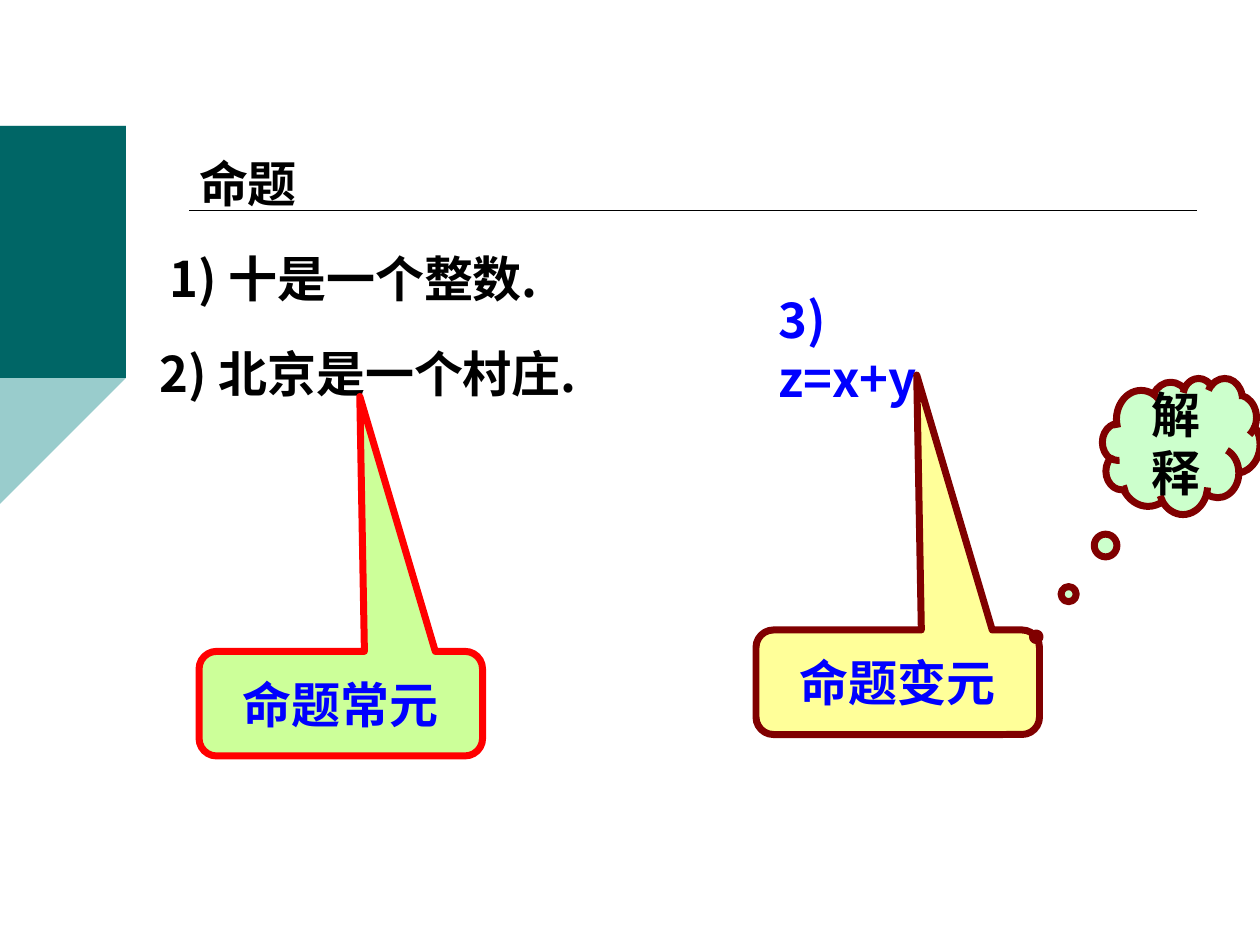
from lxml import etree
from pptx import Presentation
from pptx.dml.color import RGBColor
from pptx.enum.shapes import MSO_CONNECTOR, MSO_SHAPE
from pptx.enum.text import MSO_ANCHOR, MSO_AUTO_SIZE, PP_ALIGN
from pptx.oxml.ns import qn
from pptx.util import Inches, Pt

LEFT, CENTER = PP_ALIGN.LEFT, PP_ALIGN.CENTER
TOP, MIDDLE = MSO_ANCHOR.TOP, MSO_ANCHOR.MIDDLE
NO_FIT = MSO_AUTO_SIZE.NONE
STRAIGHT = MSO_CONNECTOR.STRAIGHT
SPEECH = MSO_SHAPE.ROUNDED_RECTANGULAR_CALLOUT
CLOUD = MSO_SHAPE.CLOUD_CALLOUT
FONT = "Noto Sans CJK SC"
COLORS = {
    "black": "000000", "blue": "0000FF", "red": "FF0000", "maroon": "800000",
    "teal": "006666", "pale teal": "99CCCC", "lime": "CCFF99",
    "yellow": "FFFF99", "mint": "CCFFCC",
}
SPEECH_POINTER = (0.067, -2.938, 0.167)


def color(name):
    return RGBColor.from_string(COLORS[name])


def write_text(shape, text, ink="black", align=LEFT, anchor=TOP, size=28):
    frame = shape.text_frame
    frame.word_wrap = True
    frame.auto_size = NO_FIT
    frame.vertical_anchor = anchor
    para = frame.paragraphs[0]
    para.alignment = align
    span = para.add_run()
    span.text = text
    span.font.name = FONT
    span.font.size = Pt(size)
    span.font.bold = True
    span.font.color.rgb = color(ink)
    # East Asian characters take their own typeface element
    east_asian = etree.SubElement(span.font._element, qn("a:ea"))
    east_asian.set("typeface", FONT)


def place(shape, left, top, width, height):
    shape.left, shape.top = Inches(left), Inches(top)
    shape.width, shape.height = Inches(width), Inches(height)


def add_label(page, text, left, top, width, ink="black"):
    box = page.shapes.add_textbox(
        Inches(left), Inches(top), Inches(width), Inches(0.57))
    write_text(box, text, ink=ink)


def add_callout(page, kind, text, area, pointer, fill, line, ink):
    callout = page.shapes.add_shape(kind, *map(Inches, area))
    for index, value in enumerate(pointer):
        callout.adjustments[index] = value
    callout.shadow.inherit = False
    callout.fill.solid()
    callout.fill.fore_color.rgb = color(fill)
    callout.line.color.rgb = color(line)
    callout.line.width = Pt(4)
    write_text(callout, text, ink=ink, align=CENTER, anchor=MIDDLE)


def curve_points(start, control_1, control_2, end, steps=24):
    """Points along a cubic curve, without its start."""
    for step in range(1, steps + 1):
        t = step / steps
        weights = ((1 - t) ** 3, 3 * t * (1 - t) ** 2, 3 * t * t * (1 - t), t ** 3)
        yield tuple(
            sum(weight * value for weight, value in zip(weights, axis))
            for axis in zip(start, control_1, control_2, end))


def add_edge_disc(page, top, middle, bottom, reach, shoulder, bend, fill):
    """Part of a disc that bulges in from the left edge of the slide."""
    start, tip, end = (0, top), (reach, middle), (0, bottom)
    upper = curve_points(start, (shoulder, top + bend),
                         (reach, middle - 0.56), tip)
    lower = curve_points(tip, (reach, middle + 0.56),
                         (shoulder, bottom - bend), end)
    builder = page.shapes.build_freeform(*start, scale=Inches(1))
    builder.add_line_segments([*upper, *lower], close=True)
    disc = builder.convert_to_shape()
    disc.shadow.inherit = False
    disc.fill.solid()
    disc.fill.fore_color.rgb = color(fill)
    disc.line.fill.background()


def add_rule(page, left, right, top):
    rule = page.shapes.add_connector(
        STRAIGHT, Inches(left), Inches(top), Inches(right), Inches(top))
    rule.line.color.rgb = color("black")
    rule.line.width = Pt(1)
    etree.SubElement(rule._element.spPr, qn("a:effectLst"))


def main():
    deck = Presentation()
    deck.slide_width, deck.slide_height = Inches(10), Inches(7.5)
    page = deck.slides.add_slide(deck.slide_layouts[5])

    # Decoration at the left edge and the rule below the title
    add_edge_disc(page, 1.06, 2.46, 3.86, 0.96, 0.6, 0.32, "pale teal")
    add_edge_disc(page, 0.3, 1.72, 3.15, 0.73, 0.46, 0.32, "teal")
    add_rule(page, 1.5, 9.5, 1.67)

    # Title
    title = page.shapes.title
    place(title, 1.48, 1.17, 2.27, 0.57)
    write_text(title, "命题")

    # Example statements
    add_label(page, "1) 十是一个整数.", 1.25, 1.92, 5.42)
    add_label(page, "2) 北京是一个村庄.", 1.17, 2.68, 5.92)
    add_label(page, "3) z=x+y", 6.08, 2.25, 1.64, ink="blue")

    # Callouts that name the kinds of proposition
    add_callout(page, SPEECH, "命题常元", (1.58, 5.17, 2.25, 0.83),
                SPEECH_POINTER, "lime", "red", "blue")
    add_callout(page, SPEECH, "命题变元", (6, 5, 2.25, 0.83),
                SPEECH_POINTER, "yellow", "maroon", "blue")
    add_callout(page, CLOUD, "解释", (8.75, 3, 1.25, 1.08),
                (-0.921, 1.402), "mint", "maroon", "black")

    deck.save("out.pptx")


if __name__ == "__main__":
    main()
